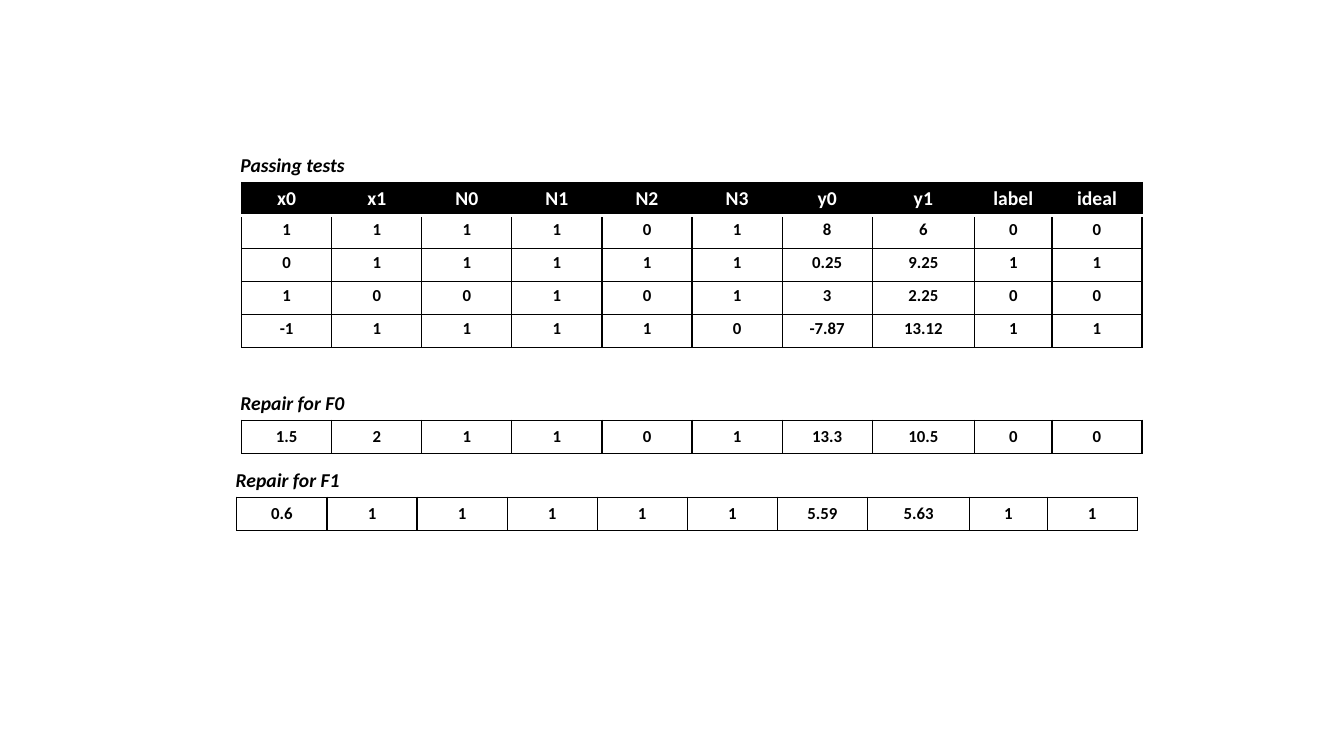
"""Build a slide with a table of passing tests and two one-row repair tables."""
import pptx
import pptx.dml.color
import pptx.enum.text
import pptx.oxml
import pptx.oxml.ns
import pptx.util

Cm, Pt = pptx.util.Cm, pptx.util.Pt
COLORS = {"ink": "000000", "paper": "FFFFFF"}
FONT = "Calibri"

HEADER = ["x0", "x1", "N0", "N1", "N2", "N3", "y0", "y1", "label", "ideal"]
PASSING = [
    ["1", "1", "1", "1", "0", "1", "8", "6", "0", "0"],
    ["0", "1", "1", "1", "1", "1", "0.25", "9.25", "1", "1"],
    ["1", "0", "0", "1", "0", "1", "3", "2.25", "0", "0"],
    ["-1", "1", "1", "1", "1", "0", "-7.87", "13.12", "1", "1"],
]
REPAIR_F0 = [["1.5", "2", "1", "1", "0", "1", "13.3", "10.5", "0", "0"]]
REPAIR_F1 = [["0.6", "1", "1", "1", "1", "1", "5.59", "5.63", "1", "1"]]

SECTIONS = [
    {"caption": "Passing tests", "header": HEADER, "rows": PASSING, "left": 6.09, "top": 4.6},
    {"caption": "Repair for F0", "header": None, "rows": REPAIR_F0, "left": 6.09, "top": 10.59},
    {"caption": "Repair for F1", "header": None, "rows": REPAIR_F1, "left": 5.97, "top": 12.53},
]

COL_WIDTHS = [2.27] * 7 + [2.58, 1.95, 2.27]
ROW_HEIGHT = 0.83
CELL_MARGIN = 0.11
CAPTION_WIDTH, CAPTION_HEIGHT, CAPTION_INDENT = 3.15, 0.86, 0.28


def write(tf, text, *, size, color="ink", italic=False, align=None):
    p = tf.paragraphs[0]
    p.alignment = align
    r = p.add_run()
    r.text = text
    r.font.name, r.font.size = FONT, Pt(size)
    r.font.bold, r.font.italic = True, italic
    r.font.color.rgb = pptx.dml.color.RGBColor.from_string(COLORS[color])


def set_borders(cell, *, top=("ink", 1), bottom=("ink", 1)):
    sides = {"L": ("ink", 1), "R": ("ink", 1), "T": top, "B": bottom}
    tc_pr = cell._tc.get_or_add_tcPr()
    for i, (side, (color, width)) in enumerate(sides.items()):
        tc_pr.insert(i, pptx.oxml.parse_xml(
            f'<a:ln{side} {pptx.oxml.ns.nsdecls("a")} w="{Pt(width)}"><a:solidFill>'
            f'<a:srgbClr val="{COLORS[color]}"/></a:solidFill></a:ln{side}>'))


def format_cell(cell, text, *, is_header, below_header, anchor):
    cell.margin_top = cell.margin_bottom = Cm(CELL_MARGIN)
    cell.vertical_anchor = anchor
    center = pptx.enum.text.PP_ALIGN.CENTER
    if is_header:
        cell.fill.solid()
        cell.fill.fore_color.rgb = pptx.dml.color.RGBColor.from_string(COLORS["ink"])
        write(cell.text_frame, text, size=14, color="paper", align=center)
        set_borders(cell, bottom=("paper", 3))
    else:
        cell.fill.background()
        write(cell.text_frame, text, size=12, align=center)
        set_borders(cell, top=("paper" if below_header else "ink", 1))


def add_grid(s, header, rows, left, top):
    grid = ([header] if header else []) + rows
    tbl = s.shapes.add_table(len(grid), len(COL_WIDTHS), Cm(left), Cm(top),
                             Cm(sum(COL_WIDTHS)), Cm(ROW_HEIGHT * len(grid))).table
    tbl.first_row = bool(header)
    tbl.horz_banding = False
    for col, width in zip(tbl.columns, COL_WIDTHS):
        col.width = Cm(width)
    anchors = pptx.enum.text.MSO_ANCHOR
    for i, values in enumerate(grid):
        tbl.rows[i].height = Cm(ROW_HEIGHT)
        for j, value in enumerate(values):
            format_cell(tbl.cell(i, j), value,
                        is_header=bool(header) and i == 0,
                        below_header=bool(header) and i == 1,
                        anchor=anchors.TOP if header else anchors.MIDDLE)


def add_caption(s, text, left, top):
    sp = s.shapes.add_textbox(Cm(left - CAPTION_INDENT), Cm(top - CAPTION_HEIGHT),
                              Cm(CAPTION_WIDTH), Cm(CAPTION_HEIGHT))
    tf = sp.text_frame
    tf.word_wrap = False
    tf.auto_size = pptx.enum.text.MSO_AUTO_SIZE.SHAPE_TO_FIT_TEXT
    write(tf, text, size=14, italic=True)


def main():
    prs = pptx.Presentation()
    prs.slide_width, prs.slide_height = Cm(33.87), Cm(19.05)
    s = prs.slides.add_slide(prs.slide_layouts[6])
    for section in SECTIONS:
        left, top = section["left"], section["top"]
        add_grid(s, section["header"], section["rows"], left, top)
        add_caption(s, section["caption"], left, top)
    prs.save("out.pptx")


if __name__ == "__main__":
    main()
